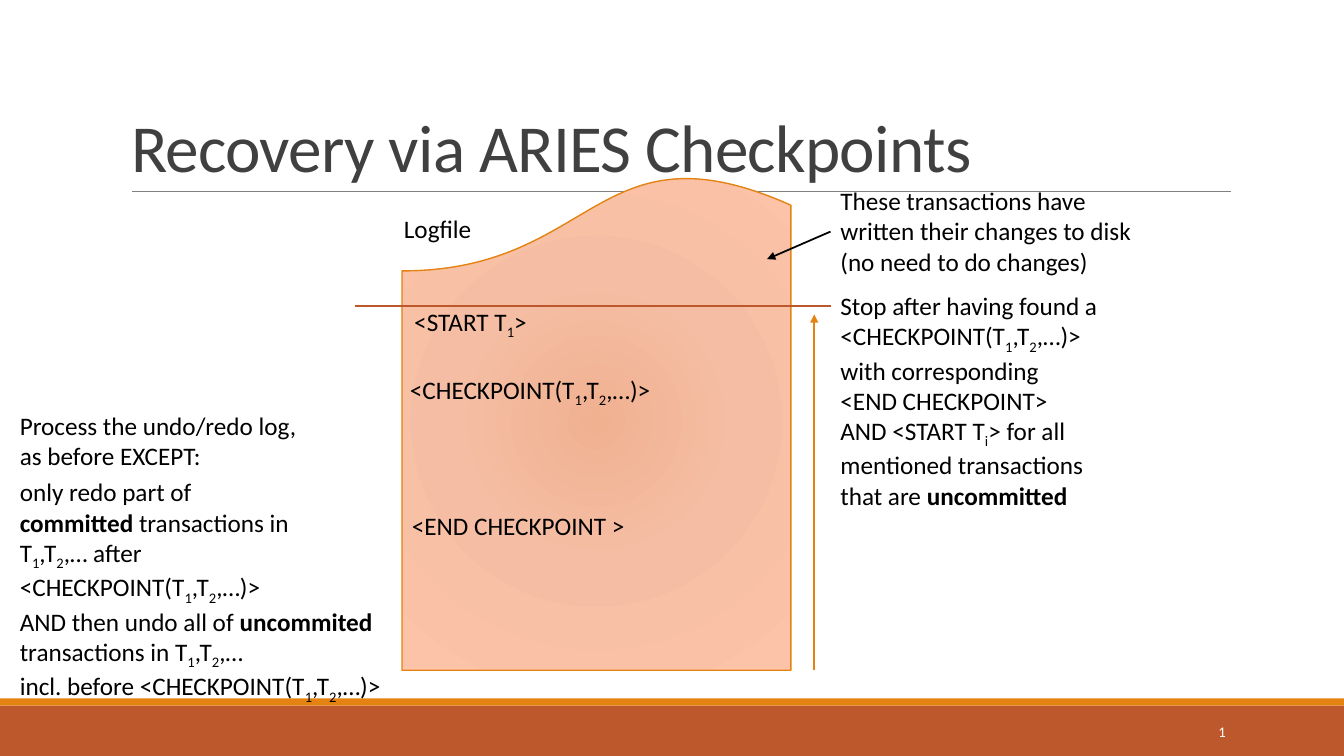
from lxml import etree
from pptx import Presentation
from pptx.dml.color import RGBColor
from pptx.enum.shapes import MSO_CONNECTOR, MSO_SHAPE
from pptx.enum.text import MSO_ANCHOR, MSO_AUTO_SIZE, PP_ALIGN
from pptx.oxml import parse_xml
from pptx.oxml.ns import nsdecls, qn
from pptx.util import Cm, Pt

STRAIGHT = MSO_CONNECTOR.STRAIGHT
RECT, PAGE = MSO_SHAPE.RECTANGLE, MSO_SHAPE.FLOWCHART_DOCUMENT
LEFT, RIGHT = PP_ALIGN.LEFT, PP_ALIGN.RIGHT
MIDDLE, BOTTOM = MSO_ANCHOR.MIDDLE, MSO_ANCHOR.BOTTOM
FIXED, GROW = MSO_AUTO_SIZE.NONE, MSO_AUTO_SIZE.SHAPE_TO_FIT_TEXT

BLACK = RGBColor(0, 0, 0)
WHITE = RGBColor(255, 255, 255)
DARK = RGBColor(0x40, 0x40, 0x40)
GRAY = RGBColor(0x80, 0x80, 0x80)
RUST = RGBColor(0xBD, 0x58, 0x2C)
ORANGE = RGBColor(0xE4, 0x83, 0x12)
GLOW = ((0, RGBColor(0xF0, 0xB1, 0x91)),
        (45, RGBColor(0xF5, 0xBE, 0xA4)),
        (100, RGBColor(0xFD, 0xC3, 0xA8)))

FONT = "Calibri"
PAIR = "T|_1|,T|_2"
CHECK = f"<CHECKPOINT({PAIR}|,…)>"


def style(para, size, color):
    font = para.font
    font.name, font.size, font.color.rgb = FONT, Pt(size), color


def fill_para(para, text):
    """Split text at "|" into runs; "_" marks a subscript, "*" bold, a newline a break."""
    for part in text.split("|"):
        mark = part[0] if part[0] in "_*" else ""
        for i, line in enumerate(part[len(mark):].split("\n")):
            if i:
                para.add_line_break()
            if not line:
                continue
            run = para.add_run()
            run.text = line
            if mark == "*":
                run.font.bold = True
            elif mark == "_":
                run.font._element.set("baseline", "-25000")
    style(para, 18, BLACK)


def add_text(slide, box, paras, wrap=True):
    shape = slide.shapes.add_textbox(*map(Cm, box))
    frame = shape.text_frame
    frame.word_wrap, frame.auto_size = wrap, GROW
    for i, text in enumerate(paras):
        fill_para(frame.add_paragraph() if i else frame.paragraphs[0], text)
    return shape


def add_line(slide, start, end, color, width, head=False):
    line = slide.shapes.add_connector(STRAIGHT, *map(Cm, start + end))
    line.line.color.rgb, line.line.width = color, Pt(width)
    props = line._element.spPr
    if head:
        etree.SubElement(props.find(qn("a:ln")), qn("a:tailEnd"), type="triangle")
    etree.SubElement(props, qn("a:effectLst"))
    return line


def add_bar(slide, box, color):
    bar = slide.shapes.add_shape(RECT, *map(Cm, box))
    bar.shadow.inherit = False
    bar.fill.solid()
    bar.fill.fore_color.rgb = color
    bar.line.fill.background()


def add_glow(shape):
    """Fill the shape with a round gradient from its centre."""
    stops = "".join(f'<a:gs pos="{at * 1000}"><a:srgbClr val="{color}"/></a:gs>'
                    for at, color in GLOW)
    shape.fill.background()
    props = shape._element.spPr
    props.replace(props.find(qn("a:noFill")), parse_xml(
        f'<a:gradFill {nsdecls("a")} rotWithShape="1"><a:gsLst>{stops}</a:gsLst>'
        '<a:path path="circle"><a:fillToRect l="100000" t="100000" r="100000"'
        ' b="100000"/></a:path></a:gradFill>'))


def add_footer(slide, box):
    x, y, w, h = box
    add_bar(slide, box, RUST)
    add_bar(slide, (x, y - 0.18, w, 0.18), ORANGE)
    number = slide.shapes.add_textbox(Cm(x + 27.51), Cm(y + 0.15), Cm(3.63), Cm(1.02))
    frame = number.text_frame
    frame.word_wrap, frame.vertical_anchor = True, MIDDLE
    para = frame.paragraphs[0]
    para.alignment = RIGHT
    style(para, 10.5, WHITE)
    field = parse_xml(
        f'<a:fld {nsdecls("a")} id="{{B6F15528-21DE-4FAA-801E-634DDDAF4B2B}}"'
        f' type="slidenum"><a:rPr lang="en-US" sz="1050"><a:solidFill>'
        f'<a:srgbClr val="{WHITE}"/></a:solidFill><a:latin typeface="{FONT}"/>'
        '</a:rPr><a:t>8</a:t></a:fld>')
    para._p.append(field)


def add_title(slide, box):
    x, y, w, h = box
    title = slide.shapes.title
    title.left, title.top, title.width, title.height = map(Cm, box)
    frame = title.text_frame
    frame.text = "Recovery via ARIES Checkpoints"
    frame.word_wrap, frame.auto_size = True, FIXED
    frame.vertical_anchor = BOTTOM
    para = frame.paragraphs[0]
    para.alignment, para.line_spacing = LEFT, 0.85
    style(para, 48, DARK)
    para.runs[0].font._element.set("spc", "-50")
    add_line(slide, (x + 0.28, y + h), (x + w + 0.02, y + h), GRAY, 0.5)


def add_log(slide, box):
    x, y, w, h = box
    page = slide.shapes.add_shape(PAGE, *map(Cm, box))
    page.shadow.inherit = False
    page.rotation = 180
    add_glow(page)
    page.line.color.rgb, page.line.width = ORANGE, Pt(1)
    for dx, dy, wide, text in ((-0.2, 0.92, 2.24, "Logfile"),
                               (0.06, 3.25, 3.38, "<START T|_1|>"),
                               (-0.05, 4.96, 6.83, CHECK),
                               (0, 8.39, 5.94, "<END CHECKPOINT >")):
        add_text(slide, (x + dx, y + dy, wide, 1.02), [text], wrap=False)
    add_line(slide, (x - 1.19, y + 3.38), (x + w + 1, y + 3.38), RUST, 1.25)
    add_line(slide, (x + w + 0.59, y + h), (x + w + 0.59, y + 3.58),
             ORANGE, 1.25, head=True)


def add_redo(slide, box):
    x, y, w, h = box
    add_text(slide, (x, y, 8.71, 1.8),
             ["Process the undo/redo log, \nas before EXCEPT:"])
    add_text(slide, (x, y + 1.68, w, h - 1.68), [
        f"only redo part of \n|*committed| transactions in \n{PAIR}|,… after \n{CHECK}",
        f"AND then undo all of |*uncommited \n|transactions in {PAIR}|,…",
        f"incl. before {CHECK}"])


def add_stop(slide, box):
    x, y, w, h = box
    note = add_text(slide, (x, y, w, 2.57), [
        "These transactions have \nwritten their changes to disk\n"
        "(no need to do changes)"], wrap=False)
    add_text(slide, (x, y + 2.64, 7.52, h - 2.64), [
        f"Stop after having found a\n{CHECK}",
        "with corresponding",
        "<END CHECKPOINT>",
        "AND <START T|_i|> for all mentioned transactions that are |*uncommitted"])
    arrow = add_line(slide, (x, y + 1.28), (x - 1.6, y + 1.98), BLACK, 1.25, head=True)
    arrow.begin_connect(note, 1)


def main():
    deck = Presentation()
    deck.slide_width, deck.slide_height = Cm(33.87), Cm(19.05)
    slide = deck.slides.add_slide(deck.slide_layouts[5])
    add_footer(slide, (0, 17.78, 33.87, 1.27))
    add_title(slide, (3.05, 0.79, 27.94, 4.04))
    add_log(slide, (10.13, 4.34, 9.8, 12.55))
    add_redo(slide, (0.25, 10.21, 12.93, 8.08))
    add_stop(slide, (20.93, 4.55, 7.92, 8.28))
    deck.save("out.pptx")


if __name__ == "__main__":
    main()
